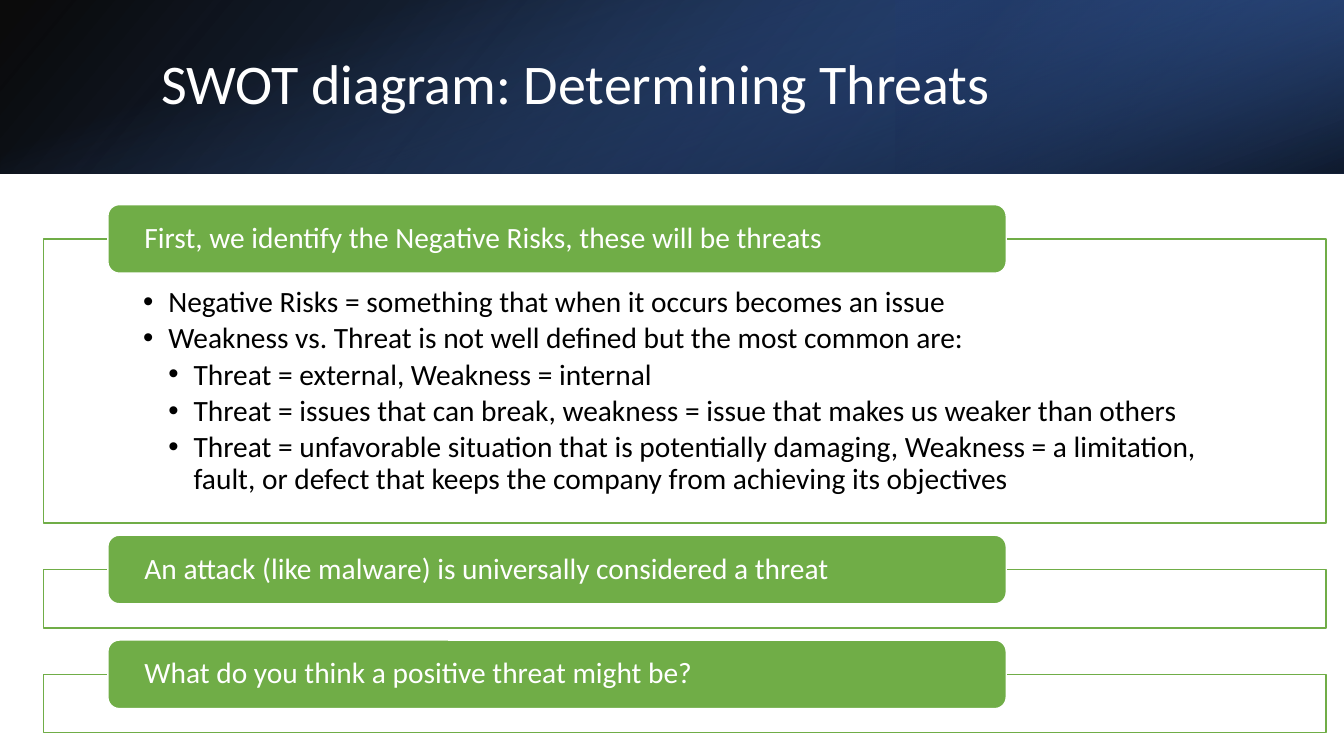
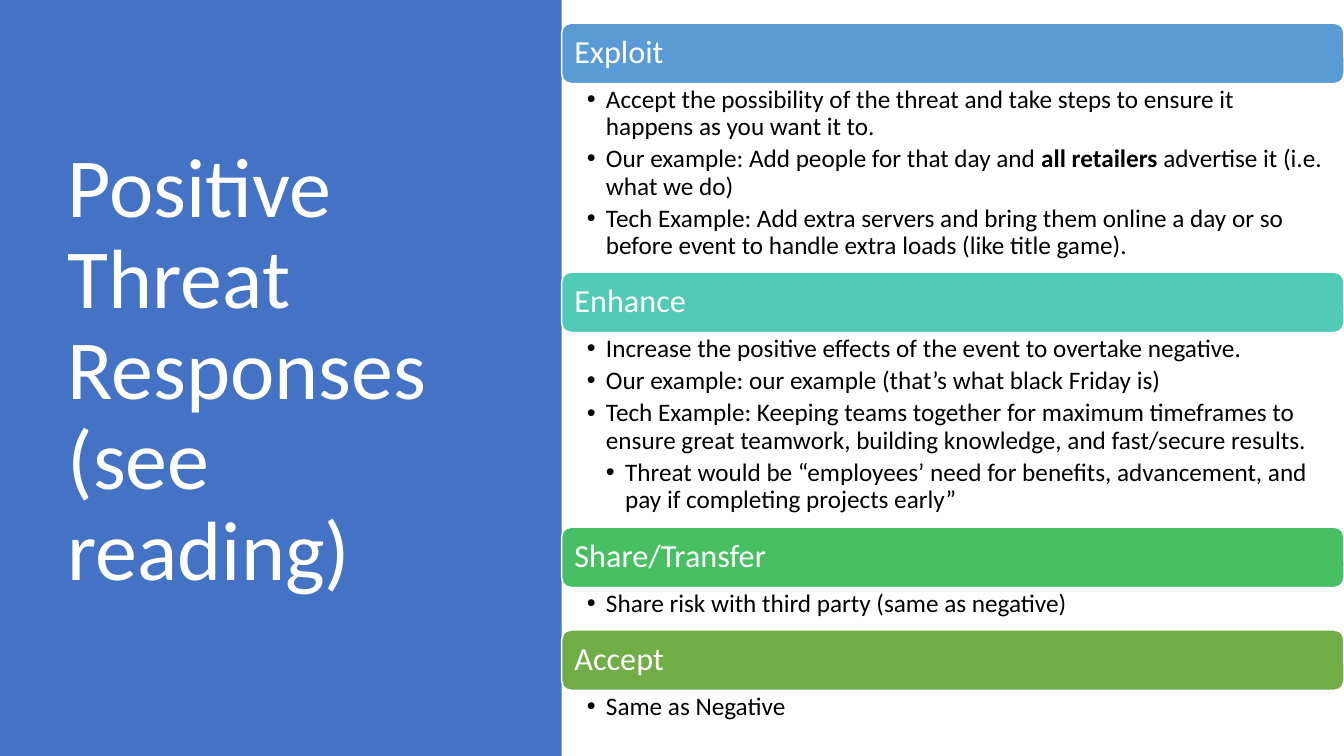
"""Build two slides on SWOT threats and positive threat responses."""
from lxml.etree import SubElement
from pptx import Presentation
from pptx.dml.color import RGBColor
from pptx.enum.shapes import MSO_SHAPE
from pptx.enum.text import MSO_ANCHOR, MSO_AUTO_SIZE, PP_ALIGN
from pptx.oxml.ns import qn
from pptx.util import Inches, Pt

WIDTH, HEIGHT = 13.33, 7.5
FONT = "Calibri"
WHITE, BLACK, BLUE, GREEN = "FFFFFF", "000000", "4472C4", "70AD47"
TITLE_MARGINS = (0.1, 0.05, 0.1, 0.05)
color = RGBColor.from_string


def block(slide, kind, box, fill=None, line=None):
    """Add a flat preset shape with an optional fill and outline."""
    shape = slide.shapes.add_shape(kind, *map(Inches, box))
    shape.shadow.inherit = False
    if fill:
        shape.fill.solid()
        shape.fill.fore_color.rgb = color(fill)
    if line:
        shape.line.color.rgb = color(line)
        shape.line.width = Pt(1)
    else:
        shape.line.fill.background()
    return shape


def write(shape, entries, size, ink, margins, box=None, anchor=MSO_ANCHOR.MIDDLE, indent=0, gap=0):
    """Fill a shape in front with (level, text) entries; bars enclose bold words."""
    shape.element.getparent().append(shape.element)
    if box:
        shape.left, shape.top, shape.width, shape.height = map(Inches, box)
    frame = shape.text_frame
    frame.word_wrap = True
    frame.auto_size = MSO_AUTO_SIZE.NONE
    frame.vertical_anchor = anchor
    frame.margin_left, frame.margin_top, frame.margin_right, frame.margin_bottom = map(Inches, margins)
    frame.text = "\n".join(text.split("|")[0] for level, text in entries)
    for paragraph, (level, text) in zip(frame.paragraphs, entries):
        for piece in text.split("|")[1:]:
            paragraph.add_run().text = piece
        paragraph.alignment = PP_ALIGN.LEFT
        paragraph.line_spacing = 0.9
        paragraph.space_before = Pt(0)
        paragraph.space_after = Pt(gap)
        for position, run in enumerate(paragraph.runs):
            run.font.name, run.font.size = FONT, Pt(size)
            run.font.bold = position % 2 == 1
            run.font.color.rgb = color(ink)
        if indent:
            paragraph.level = level
            properties = paragraph._p.get_or_add_pPr()
            properties.set("marL", str(Inches(indent * level)))
            properties.set("indent", str(Inches(-indent)))
            SubElement(properties, qn("a:buFont"), typeface="Arial")
            SubElement(properties, qn("a:buChar"), char="•")


deck = Presentation()
deck.slide_width, deck.slide_height = Inches(WIDTH), Inches(HEIGHT)

threats = deck.slides.add_slide(deck.slide_layouts[1])
BAND = 1.72
band_layers = [
    ((0, 0, WIDTH, BAND), 0, True, 140, [(0, BLACK, 96), (1, "2F5597", 100)]),
    ((WIDTH * 2 / 3, 0, WIDTH / 3, BAND), 180, True, 320, [(0.19, "203864", 68), (1, BLUE, 79)]),
    (((WIDTH - BAND) / 2, (BAND - WIDTH) / 2, BAND, WIDTH), 90, False, 340,
     [(0.23, BLUE, 0), (0.99, BLACK, 74)]),
]
for box, rotation, flipped, angle, stops in band_layers:
    layer = block(threats, MSO_SHAPE.RECTANGLE, box)
    layer.rotation = rotation
    if flipped:
        layer.element.spPr.xfrm.set("flipH", "1")
    layer.fill.gradient()
    layer.fill.gradient_angle = 360 - angle
    for stop, (position, tint, opacity) in zip(layer.fill.gradient_stops, stops):
        stop.position = position
        stop.color.rgb = color(tint)
    for tone, (position, tint, opacity) in zip(layer.element.spPr.iter(qn("a:srgbClr")), stops):
        SubElement(tone, qn("a:alpha"), val=str(opacity * 1000))

write(threats.shapes.title, [(0, "SWOT diagram: Determining Threats")], 40, WHITE,
      TITLE_MARGINS, (1.5, 0.38, 10.98, 0.96))

definitions = [
    (1, "Negative Risks = something that when it occurs becomes an issue"),
    (1, "Weakness vs. Threat is not well defined but the most common are:"),
    (2, "Threat = external, Weakness = internal"),
    (2, "Threat = issues that can break, weakness = issue that makes us weaker than others"),
    (2, "Threat = unfavorable situation that is potentially damaging, Weakness = a limitation, "
        "fault, or defect that keeps the company from achieving its objectives"),
]
steps = [
    ("First, we identify the Negative Risks, these will be threats", 2.82, definitions),
    ("An attack (like malware) is universally considered a threat", 0.58, []),
    ("What do you think a positive threat might be?", 0.58, []),
]
LABEL, GAP = 0.68, 0.46
top = 2.37
for heading, height, points in steps:
    panel = (0.43, top, 12.72, height)
    block(threats, MSO_SHAPE.RECTANGLE, panel, WHITE, GREEN)
    if points:
        write(threats.placeholders[1], points, 21, BLACK, (0.99, 0.48, 0.99, 0.16), panel,
              MSO_ANCHOR.TOP, 0.25, 3.2)
    label = block(threats, MSO_SHAPE.ROUNDED_RECTANGLE, (1.07, top - LABEL / 2, 8.91, LABEL), GREEN, WHITE)
    write(label, [(0, heading)], 21, WHITE, (0.33, 0, 0.33, 0))
    top += height + GAP

responses = deck.slides.add_slide(deck.slide_layouts[4])
SIDE = 5.57
block(responses, MSO_SHAPE.RECTANGLE, (0, 0, SIDE, HEIGHT), BLUE)
write(responses.shapes.title, [(0, "Positive Threat Responses (see reading)")], 60, WHITE,
      TITLE_MARGINS, (0.57, 0.68, 4.16, 6.02))

strategies = [
    ("Exploit", "5B9BD5", 1.87, [
        (1, "Accept the possibility of the threat and take steps to ensure it happens as you want it to."),
        (1, "Our example: Add people for that day and |all retailers |advertise it (i.e. what we do)"),
        (1, "Tech Example: Add extra servers and bring them online a day or so before event "
            "to handle extra loads (like title game)."),
    ]),
    ("Enhance", "52CAB8", 1.93, [
        (1, "Increase the positive effects of the event to overtake negative."),
        (1, "Our example: our example (that’s what black Friday is)"),
        (1, "Tech Example: Keeping teams together for maximum timeframes to ensure great teamwork, "
            "building knowledge, and fast/secure results."),
        (2, "Threat would be “employees’ need for benefits, advancement, and pay if completing "
            "projects early”"),
    ]),
    ("Share/Transfer", "49BF64", 0.42, [(1, "Share risk with third party (same as negative)")]),
    ("Accept", GREEN, 0.42, [(1, "Same as Negative")]),
]
BAR = 0.6
top = 0.23
bodies = list(responses.placeholders)[1:]
for body, (strategy, tint, height, points) in zip(bodies, strategies):
    bar = block(responses, MSO_SHAPE.ROUNDED_RECTANGLE, (SIDE, top, WIDTH - SIDE, BAR), tint, WHITE)
    write(bar, [(0, strategy)], 23, WHITE, (0.1, 0.1, 0.1, 0.1))
    write(body, points, 18, BLACK, (0.25, 0.03, 0.18, 0.03),
          (SIDE, top + BAR, WIDTH - SIDE, height), MSO_ANCHOR.TOP, 0.19, 3.6)
    top += BAR + height

deck.save("out.pptx")
